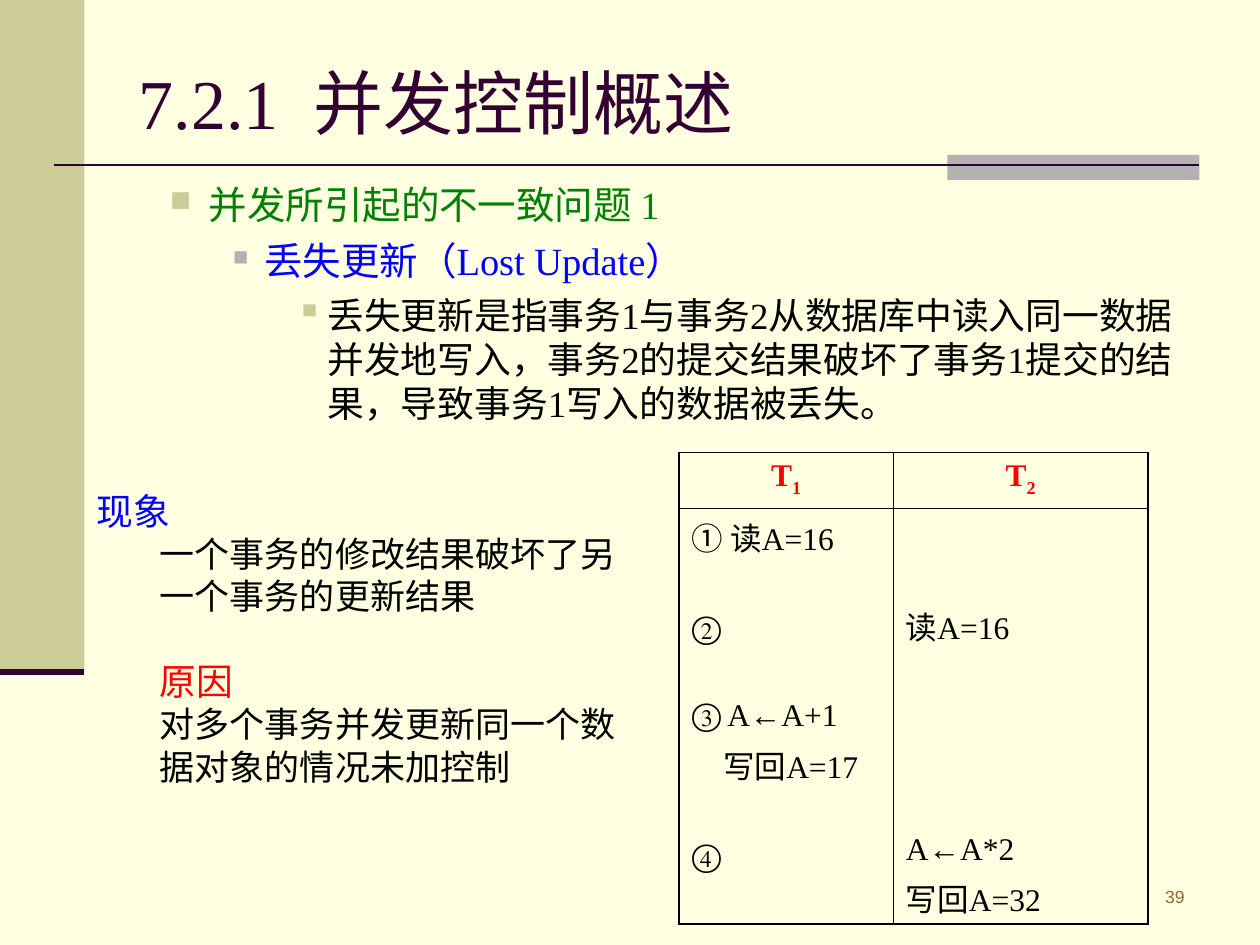
from dataclasses import dataclass

from lxml import etree
from pptx import Presentation
from pptx.dml.color import RGBColor
from pptx.enum import shapes, text
from pptx.oxml import ns
from pptx.util import Inches, Pt


@dataclass(frozen=True)
class Theme:
    paper: str = "FFFFE1"
    khaki: str = "CCCC99"
    grey: str = "B2B2B2"
    plum: str = "330033"
    brown: str = "996633"
    green: str = "008000"
    blue: str = "0000FF"
    red: str = "FF0000"
    black: str = "000000"
    serif: str = "Times New Roman"
    sans: str = "Arial"
    note: str = "Cabin"
    title: float = 40
    topic: float = 22
    detail: float = 21
    plain: float = 20
    cell: float = 18
    number: float = 10
    cell_gap: float = 4.5
    empty_line: float = 25.2
    outer: float = 1.08
    inner: float = 0.45


T = Theme()


def rgb(value):
    return RGBColor.from_string(value)


def add_run(p, words, size, color, font=T.serif, bold=False):
    r = p.add_run()
    r.text = words
    r.font.size, r.font.name, r.font.bold = Pt(size), font, bold
    r.font.color.rgb = rgb(color)
    return r


def next_paragraph(tf, first):
    return tf.paragraphs[0] if first else tf.add_paragraph()


def set_indent(p, left, hanging=0.0):
    props = p._p.get_or_add_pPr()
    props.set("marL", str(Inches(left)))
    props.set("indent", str(Inches(-hanging)))
    return props


def add_bullet(p, left, hanging, mark, color, percent):
    props = set_indent(p, left, hanging)
    tint = etree.SubElement(props, ns.qn("a:buClr"))
    etree.SubElement(tint, ns.qn("a:srgbClr"), val=color)
    etree.SubElement(props, ns.qn("a:buSzPct"), val=str(percent * 1000))
    etree.SubElement(props, ns.qn("a:buChar"), char=mark)


def add_block(s, left, top, width, height, color):
    sp = s.shapes.add_shape(shapes.MSO_SHAPE.RECTANGLE, Inches(left), Inches(top),
                            Inches(width), Inches(height))
    sp.shadow.inherit = False
    sp.fill.solid()
    sp.fill.fore_color.rgb = rgb(color)
    sp.line.fill.background()


def add_rule(s, left, right, y, weight):
    line = s.shapes.add_connector(shapes.MSO_CONNECTOR.STRAIGHT, Inches(left), Inches(y),
                                  Inches(right), Inches(y))
    line.line.color.rgb = rgb(T.plum)
    line.line.width = Pt(weight)
    etree.SubElement(line._element.spPr, ns.qn("a:effectLst"))


def add_text_frame(s, left, top, width, height):
    tf = s.shapes.add_textbox(Inches(left), Inches(top), Inches(width), Inches(height)).text_frame
    tf.word_wrap = True
    return tf


def add_title(s, words):
    sp = s.shapes.title
    sp.left, sp.top, sp.width, sp.height = Inches(1), Inches(0.3), Inches(8.5), Inches(1.01)
    tf = sp.text_frame
    tf.vertical_anchor = text.MSO_ANCHOR.MIDDLE
    p = tf.paragraphs[0]
    p.alignment = text.PP_ALIGN.LEFT
    add_run(p, words, T.title, T.plum)


def add_outline(s):
    levels = [
        ("并发所引起的不一致问题 1", T.topic, T.green, 0, (0.81, 0.31, "■", T.khaki, 75)),
        ("丢失更新（Lost Update）", T.topic, T.blue, 5.5, (1.25, 0.25, "■", T.grey, 55)),
        ("丢失更新是指事务1与事务2从数据库中读入同一数据并发地写入，事务2的提交结果"
         "破坏了事务1提交的结果，导致事务1写入的数据被丢失。",
         T.detail, T.black, 5.2, (1.75, 0.25, "▪", T.khaki, 100)),
    ]
    tf = add_text_frame(s, 0.75, 1.39, 8.82, 5.51)
    for i, (words, size, color, gap, bullet) in enumerate(levels):
        p = next_paragraph(tf, i == 0)
        add_bullet(p, *bullet)
        p.space_before = Pt(gap)
        add_run(p, words, size, color)


def add_explanation(s):
    lines = [
        ("现象", T.detail, T.blue, 0, 0),
        ("一个事务的修改结果破坏了另一个事务的更新结果", T.plain, T.black, 0.5, 0),
        ("原因", T.detail, T.red, 0.5, 24),
        ("对多个事务并发更新同一个数据对象的情况未加控制", T.plain, T.black, 0.5, 0),
    ]
    tf = add_text_frame(s, 0.67, 3.83, 4.57, 2.47)
    for i, (words, size, color, left, gap) in enumerate(lines):
        p = next_paragraph(tf, i == 0)
        set_indent(p, left)
        p.space_before = Pt(gap)
        add_run(p, words, size, color, T.note)


def set_borders(cell, row, col):
    """Heavy lines on the outside of the two-by-two table, fine lines inside."""
    props = cell._tc.get_or_add_tcPr()
    outside = {"a:lnL": col == 0, "a:lnR": col == 1, "a:lnT": row == 0, "a:lnB": row == 1}
    for i, (tag, is_outer) in enumerate(outside.items()):
        line = etree.Element(ns.qn(tag), w=str(Pt(T.outer if is_outer else T.inner)))
        fill = etree.SubElement(line, ns.qn("a:solidFill"))
        etree.SubElement(fill, ns.qn("a:srgbClr"), val=T.black)
        props.insert(i, line)


def fill_heading(cell, index):
    p = cell.text_frame.paragraphs[0]
    p.alignment = text.PP_ALIGN.CENTER
    add_run(p, "T", T.cell, T.red, bold=True)
    r = add_run(p, index, T.cell, T.red, bold=True)
    r.font._element.set("baseline", "-25000")


def fill_steps(cell, steps):
    """Each step is (time slots skipped before it, indent, words)."""
    for i, (skipped, left, words) in enumerate(steps):
        p = next_paragraph(cell.text_frame, i == 0)
        set_indent(p, left)
        gap = skipped * T.empty_line
        if i:
            p.space_before = Pt(T.cell_gap + gap)
        else:
            cell.margin_top = Inches(0.05) + Pt(gap)
        add_run(p, words, T.cell, T.black)


def add_schedule(s):
    steps = [
        [(0, 0, "① 读A=16"), (1, 0, "②"), (1, 0, "③ A←A+1"),
         (0, 0.25, "写回A=17"), (1, 0, "④")],
        [(2, 0, "读A=16"), (4, 0, "A←A*2"), (0, 0, "写回A=32")],
    ]
    table = s.shapes.add_table(2, 2, Inches(5.39), Inches(3.59),
                               Inches(3.72), Inches(3.74)).table
    table.horz_banding = False
    for row, height in zip(table.rows, (0.44, 3.3)):
        row.height = Inches(height)
    for col, width in enumerate((1.7, 2.02)):
        table.columns[col].width = Inches(width)
        fill_heading(table.cell(0, col), str(col + 1))
        fill_steps(table.cell(1, col), steps[col])
        for row in range(2):
            cell = table.cell(row, col)
            cell.fill.solid()
            cell.fill.fore_color.rgb = rgb(T.paper)
            set_borders(cell, row, col)


def add_page_number(s, number):
    p = add_text_frame(s, 8.23, 6.98, 1.27, 0.35).paragraphs[0]
    p.alignment = text.PP_ALIGN.RIGHT
    add_run(p, number, T.number, T.brown, T.sans)


def main():
    prs = Presentation()
    prs.slide_width, prs.slide_height = Inches(10), Inches(7.5)
    s = prs.slides.add_slide(prs.slide_layouts[5])
    s.background.fill.solid()
    s.background.fill.fore_color.rgb = rgb(T.paper)
    add_block(s, 0, 0, 0.67, 5.33, T.khaki)
    add_block(s, 7.52, 1.23, 2, 0.2, T.grey)
    add_rule(s, 0.43, 9.52, 1.31, 1.5)
    add_rule(s, 0, 0.67, 5.33, 3.5)
    add_page_number(s, "39")
    add_title(s, "7.2.1  并发控制概述")
    add_outline(s)
    add_schedule(s)
    add_explanation(s)
    prs.save("out.pptx")


if __name__ == "__main__":
    main()
